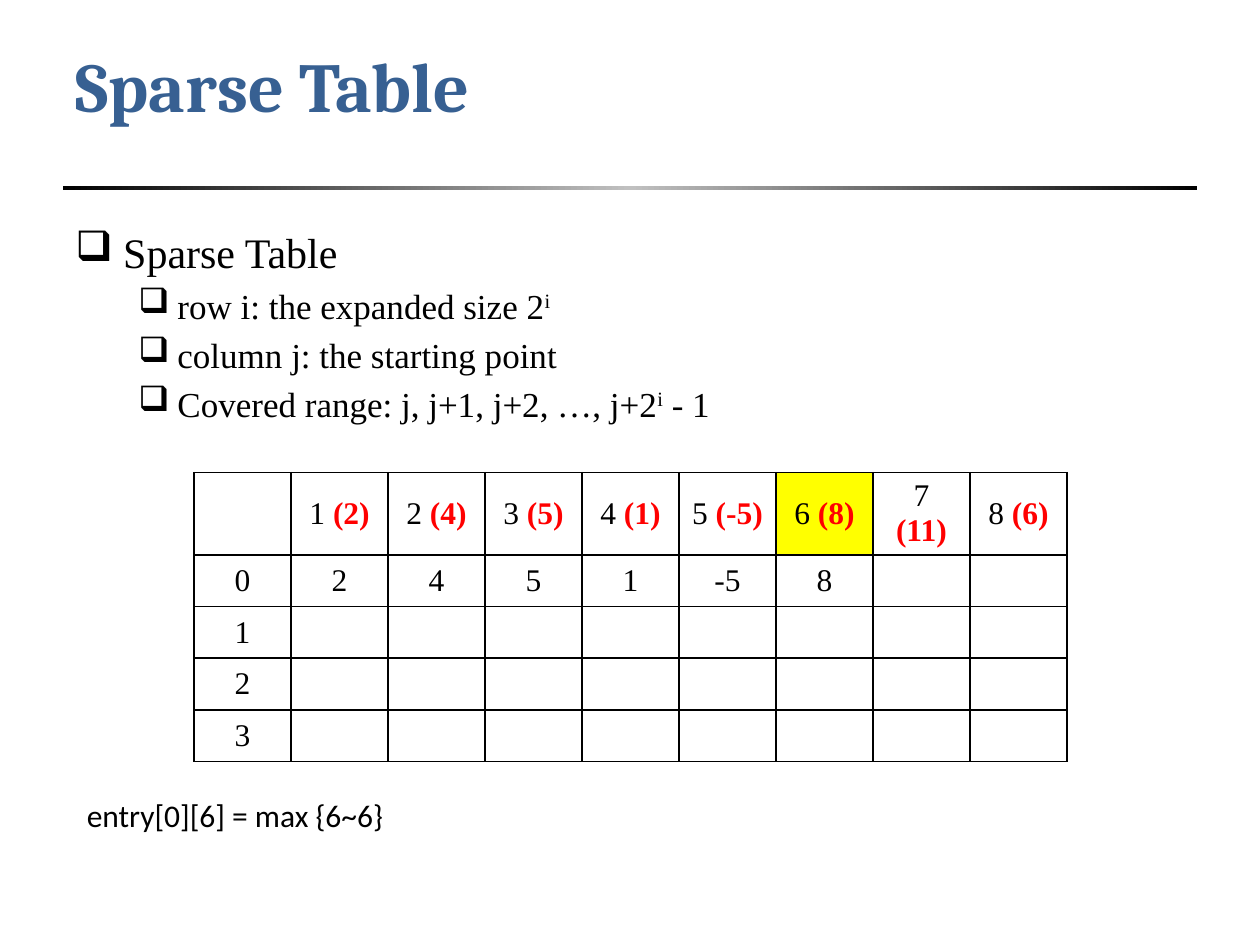
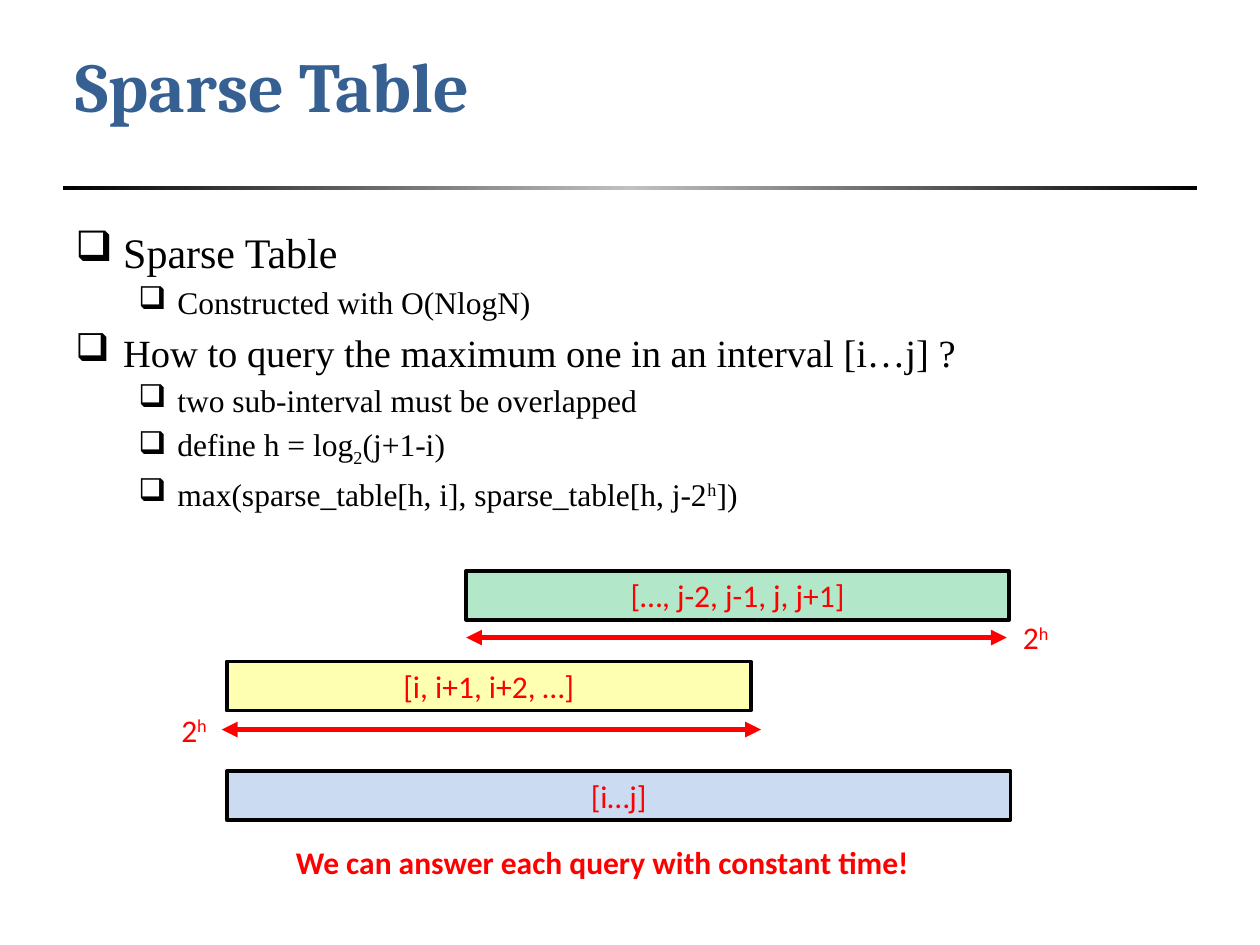
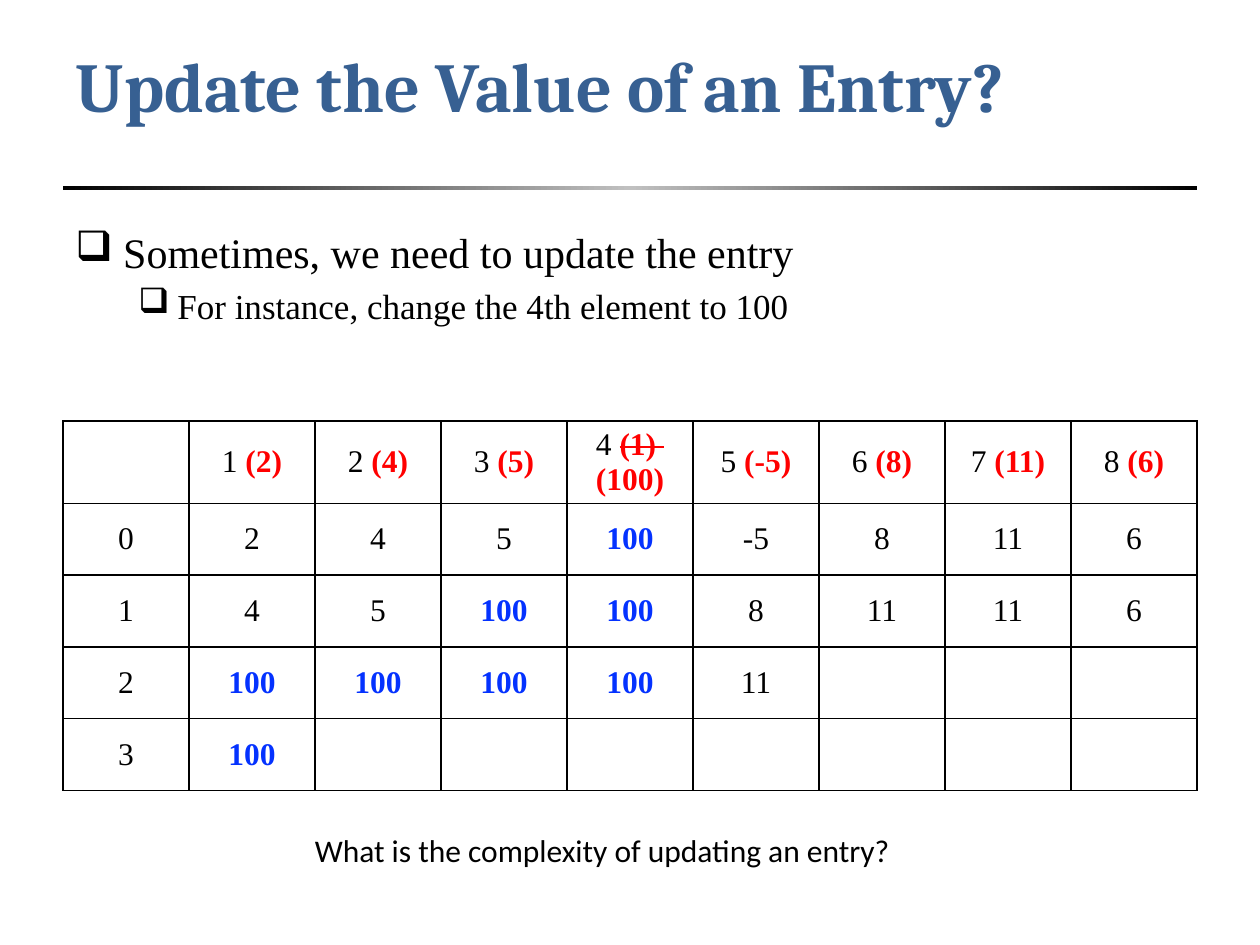
"""Build three slides about sparse tables: lookup, range query and update."""
from copy import deepcopy
from dataclasses import dataclass
from typing import NamedTuple

from lxml.etree import SubElement
from pptx import Presentation
from pptx.dml.color import RGBColor
from pptx.enum.shapes import MSO_CONNECTOR as Connector, MSO_SHAPE as Shape
from pptx.enum.text import MSO_ANCHOR as Anchor, MSO_AUTO_SIZE as AutoSize, PP_ALIGN as Align
from pptx.oxml.ns import qn
from pptx.util import Inches, Pt


@dataclass(frozen=True)
class Theme:
    title_font: str = "Cambria"
    body_font: str = "Times New Roman"
    label_font: str = "Calibri"
    title_size: int = 40
    topic_size: int = 24
    question_size: int = 22
    detail_size: int = 20
    text_size: int = 18
    title: str = "376092"
    ink: str = "000000"
    silver: str = "C0C0C0"
    red: str = "FF0000"
    changed: str = "0432FF"
    highlight: str = "FFFF00"
    green: str = "00B050"
    blue: str = "558ED5"


class Span(NamedTuple):
    text: str
    color: str = ""
    bold: bool = False
    baseline: int = 0
    strike: bool = False


class Bullet(NamedTuple):
    spans: list
    size: int
    level: int = 1


THEME = Theme()
VALUES = (2, 4, 5, 1, -5, 8, 11, 6)
INDENTS = ((0.38, -0.38), (0.81, -0.31))


def superscript(text):
    return Span(text, baseline=30)


def subscript(text):
    return Span(text, baseline=-25)


def header_cells():
    cells = [[Span(f"{index} "), Span(f"({value})", THEME.red, True)]
             for index, value in enumerate(VALUES, 1)]
    return [[], *cells]


def body_cells(rows, changed=None):
    def cell(text):
        if text == changed:
            return [Span(text, THEME.changed, True)]
        return [Span(text)] if text else []

    grid = []
    for index, row in enumerate(rows):
        texts = [str(index), *row.split()]
        texts += [""] * (len(VALUES) + 1 - len(texts))
        grid.append([cell(text) for text in texts])
    return grid


class Deck:
    def __init__(self, theme):
        self.theme = theme
        self.presentation = Presentation()
        self.presentation.slide_width = Inches(10)
        self.presentation.slide_height = Inches(7.5)
        self.slide = None

    def box(self, left, top, width, height):
        return [Inches(length) for length in (left, top, width, height)]

    def add_spans(self, paragraph, spans, size, font, color=None):
        for span in spans:
            run = paragraph.add_run()
            run.text = span.text
            run.font.name = font
            run.font.size = Pt(size)
            run.font.bold = span.bold
            run.font.color.rgb = RGBColor.from_string(span.color or color or self.theme.ink)
            properties = run._r.get_or_add_rPr()
            if span.baseline:
                properties.set("baseline", str(span.baseline * 1000))
            if span.strike:
                properties.set("strike", "sngStrike")

    def add_slide(self, title):
        self.slide = self.presentation.slides.add_slide(self.presentation.slide_layouts[5])
        shape = self.slide.shapes.title
        shape.left, shape.top, shape.width, shape.height = self.box(0.5, 0.3, 9, 0.74)
        frame = shape.text_frame
        frame.auto_size = AutoSize.NONE
        frame.vertical_anchor = Anchor.MIDDLE
        paragraph = frame.paragraphs[0]
        paragraph.alignment = Align.LEFT
        self.add_spans(paragraph, [Span(title, bold=True)], self.theme.title_size,
                       self.theme.title_font, self.theme.title)
        self.rule()

    def rule(self):
        bar = self.slide.shapes.add_shape(Shape.RECTANGLE, *self.box(0.5, 1.48, 9, 0.03))
        bar.shadow.inherit = False
        bar.line.fill.background()
        bar.fill.gradient()
        bar.fill.gradient_angle = 0
        stops = bar._element.spPr.find(".//" + qn("a:gsLst"))
        stops.insert(1, deepcopy(stops[0]))
        colors = (self.theme.ink, self.theme.silver, self.theme.ink)
        for index, (stop, color) in enumerate(zip(bar.fill.gradient_stops, colors)):
            stop.position = index / 2
            stop.color.rgb = RGBColor.from_string(color)

    def bullets(self, height, items):
        frame = self.slide.shapes.add_textbox(*self.box(0.5, 1.75, 9, height)).text_frame
        frame.word_wrap = True
        for index, item in enumerate(items):
            paragraph = frame.add_paragraph() if index else frame.paragraphs[0]
            paragraph.level = item.level
            margin, indent = INDENTS[item.level]
            properties = paragraph._p.get_or_add_pPr()
            properties.set("marL", str(Inches(margin)))
            properties.set("indent", str(Inches(indent)))
            spacing = SubElement(properties, qn("a:spcBef"))
            SubElement(spacing, qn("a:spcPct"), val="20000")
            SubElement(properties, qn("a:buChar"), char="❑")
            self.add_spans(paragraph, item.spans, item.size, self.theme.body_font)

    def label(self, left, top, width, spans, color=None, wrap=False):
        frame = self.slide.shapes.add_textbox(*self.box(left, top, width, 0.4)).text_frame
        frame.word_wrap = wrap
        frame.auto_size = AutoSize.SHAPE_TO_FIT_TEXT
        self.add_spans(frame.paragraphs[0], spans, self.theme.text_size,
                       self.theme.label_font, color)

    def interval(self, left, top, width, text, color):
        shape = self.slide.shapes.add_shape(Shape.RECTANGLE, *self.box(left, top, width, 0.39))
        shape.shadow.inherit = False
        shape.fill.solid()
        shape.fill.fore_color.rgb = RGBColor.from_string(color)
        tint = shape._element.spPr.find(qn("a:solidFill"))[0]
        SubElement(tint, qn("a:alpha"), val="30000")
        shape.line.color.rgb = RGBColor.from_string(self.theme.ink)
        shape.line.width = Pt(2)
        frame = shape.text_frame
        frame.vertical_anchor = Anchor.MIDDLE
        frame.paragraphs[0].alignment = Align.CENTER
        self.add_spans(frame.paragraphs[0], [Span(text)], self.theme.text_size,
                       self.theme.label_font, self.theme.red)

    def span_arrow(self, start, end, top):
        arrow = self.slide.shapes.add_connector(
            Connector.STRAIGHT, Inches(start), Inches(top), Inches(end), Inches(top))
        arrow.line.color.rgb = RGBColor.from_string(self.theme.red)
        arrow.line.width = Pt(3)
        properties = arrow._element.spPr
        for end_name in ("a:headEnd", "a:tailEnd"):
            SubElement(properties.find(qn("a:ln")), qn(end_name), type="triangle")
        SubElement(properties, qn("a:effectLst"))

    def table(self, left, top, column_width, row_height, grid):
        rows, columns = len(grid), len(grid[0])
        table = self.slide.shapes.add_table(rows, columns, *self.box(
            left, top, column_width * columns, row_height * rows)).table
        table.first_row = table.horz_banding = False
        for column in table.columns:
            column.width = Inches(column_width)
        for row, contents in zip(table.rows, grid):
            row.height = Inches(row_height)
            for cell, spans in zip(row.cells, contents):
                self.border(cell)
                cell.fill.background()
                cell.vertical_anchor = Anchor.MIDDLE
                paragraph = cell.text_frame.paragraphs[0]
                paragraph.alignment = Align.CENTER
                self.add_spans(paragraph, spans, self.theme.text_size, self.theme.body_font)
        return table

    def border(self, cell):
        properties = cell._tc.get_or_add_tcPr()
        for side in ("a:lnL", "a:lnR", "a:lnT", "a:lnB"):
            line = SubElement(properties, qn(side), w=str(Pt(1)))
            fill = SubElement(line, qn("a:solidFill"))
            SubElement(fill, qn("a:srgbClr"), val=self.theme.ink)


def lookup_slide(deck):
    deck.add_slide("Sparse Table")
    grid = [header_cells(), *body_cells(["2 4 5 1 -5 8", "", "", ""])]
    table = deck.table(1.54, 3.75, 0.77, 0.41, grid)
    current = table.cell(0, 6)
    current.fill.solid()
    current.fill.fore_color.rgb = RGBColor.from_string(THEME.highlight)
    size = THEME.detail_size
    deck.bullets(2.23, [
        Bullet([Span("Sparse Table")], THEME.topic_size, 0),
        Bullet([Span("row i: the expanded size 2"), superscript("i")], size),
        Bullet([Span("column j: the starting point")], size),
        Bullet([Span("Covered range: j, j+1, j+2, …, j+2"), superscript("i"),
                Span(" - 1")], size),
    ])
    deck.label(0.59, 6.27, 6.85, [Span("entry[0][6] = max {6~6}")], wrap=True)


def query_slide(deck):
    deck.add_slide("Sparse Table")
    size = THEME.text_size
    deck.bullets(4.36, [
        Bullet([Span("Sparse Table")], THEME.topic_size, 0),
        Bullet([Span("Constructed with O(NlogN)")], size),
        Bullet([Span("How to query the maximum one in an interval [i…j] ?")],
               THEME.question_size, 0),
        Bullet([Span("two sub-interval must be overlapped")], size),
        Bullet([Span("define h = log"), subscript("2"), Span("(j+1-i)")], size),
        Bullet([Span("max(sparse_table[h, i], sparse_table[h, j-2"), superscript("h"),
                Span("])")], size),
    ])
    deck.interval(1.8, 6.12, 6.22, "[i…j]", THEME.blue)
    deck.interval(3.7, 4.53, 4.31, "[…, j-2, j-1, j, j+1]", THEME.green)
    deck.interval(1.8, 5.25, 4.16, "[i, i+1, i+2, …]", THEME.highlight)
    for start, end, top, label_left in ((3.7, 7.99, 5.06, 8.02), (1.76, 6.04, 5.79, 1.34)):
        deck.span_arrow(start, end, top)
        deck.label(label_left, top - 0.2, 0.42, [Span("2"), superscript("h")], THEME.red)
    deck.label(2.25, 6.64, 5.11,
               [Span("We can answer each query with constant time!", bold=True)], THEME.red)


def update_slide(deck):
    deck.add_slide("Update the Value of an Entry?")
    header = header_cells()
    header[4] = [Span("4 "), Span("(1) ", THEME.red, True, strike=True)]
    rows = ["2 4 5 100 -5 8 11 6", "4 5 100 100 8 11 11 6", "100 100 100 100 11", "100"]
    table = deck.table(0.5, 3.34, 1, 0.57, [header, *body_cells(rows, "100")])
    paragraph = table.cell(0, 4).text_frame.add_paragraph()
    paragraph.alignment = Align.CENTER
    deck.add_spans(paragraph, [Span("(100)", THEME.red, True)],
                   THEME.text_size, THEME.body_font)
    deck.bullets(1.69, [
        Bullet([Span("Sometimes, we need to update the entry")], THEME.topic_size, 0),
        Bullet([Span("For instance, change the 4th element to 100")], THEME.detail_size),
    ])
    deck.label(2.4, 6.55, 4.82, [Span("What is the complexity of updating an entry?")])


def main():
    deck = Deck(THEME)
    for build in (lookup_slide, query_slide, update_slide):
        build(deck)
    deck.presentation.save("out.pptx")


if __name__ == "__main__":
    main()
